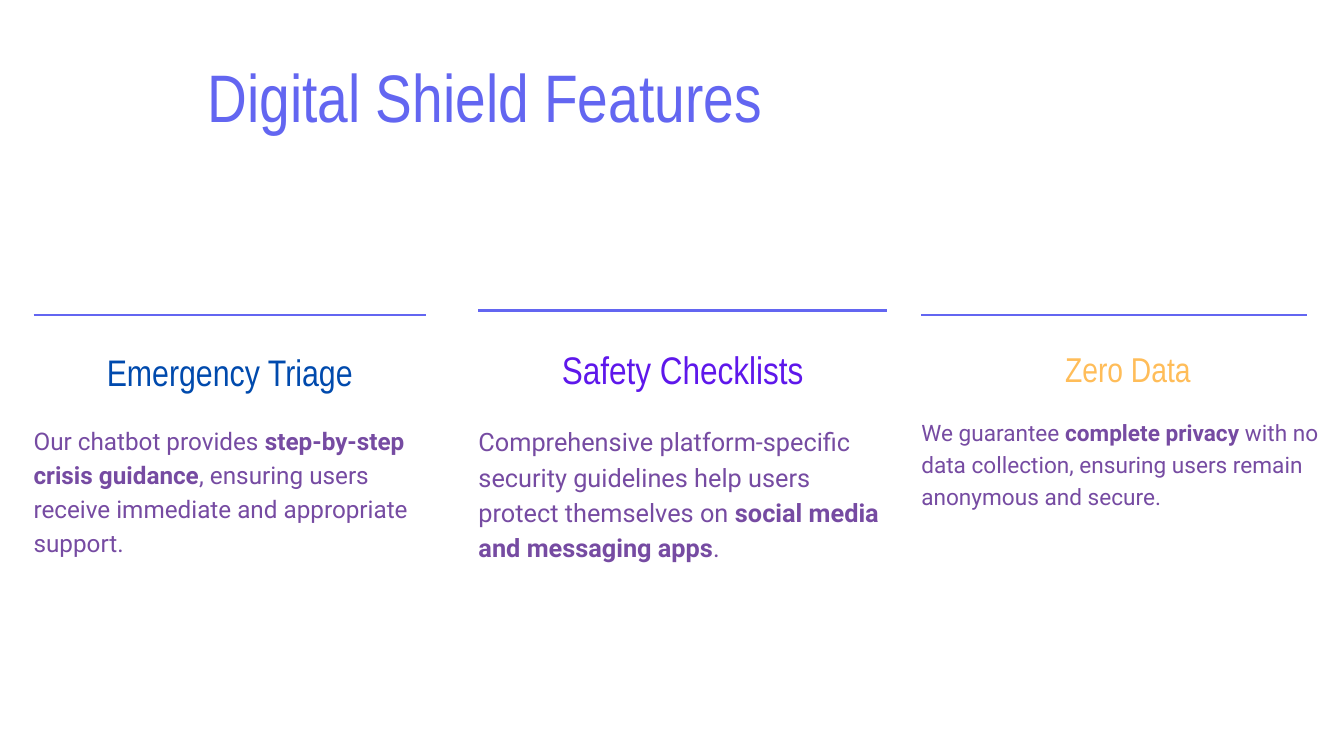
from lxml import etree
from pptx import Presentation
from pptx.dml.color import RGBColor
from pptx.enum.shapes import MSO_CONNECTOR
from pptx.enum.text import MSO_AUTO_SIZE, PP_ALIGN
from pptx.oxml.ns import qn
from pptx.util import Inches, Pt

LEFT, CENTER = PP_ALIGN.LEFT, PP_ALIGN.CENTER
STRAIGHT = MSO_CONNECTOR.STRAIGHT
GROW = MSO_AUTO_SIZE.SHAPE_TO_FIT_TEXT

INDIGO = RGBColor(0x63, 0x66, 0xF1)
PURPLE = RGBColor(0x76, 0x4B, 0xA2)
BLUE = RGBColor(0x00, 0x4A, 0xAD)
VIOLET = RGBColor(0x5E, 0x17, 0xEB)
AMBER = RGBColor(0xFF, 0xBD, 0x59)
WHITE = RGBColor(0xFF, 0xFF, 0xFF)

HEADING_FONT, BODY_FONT = "Arial Narrow", "Roboto"

# Content: body text is a list of (words, bold) spans
TITLE = "Digital Shield Features"
FEATURES = [
    {
        "heading": "Emergency Triage", "color": BLUE,
        "body": [("Our chatbot provides ", False),
                 ("step-by-step crisis guidance", True),
                 (", ensuring users receive immediate and appropriate support.", False)],
        "left": 0.5, "width": 5.84, "rule": (4.69, 5.84, 2.47),
        "heading_at": (5.29, 0.62), "heading_size": 39.6, "heading_spacing": 41.6,
        "body_at": (6.27, 1.99), "body_size": 26, "body_spacing": 36.4,
    },
    {
        "heading": "Safety Checklists", "color": VIOLET,
        "body": [("Comprehensive platform-specific security guidelines help users "
                  "protect themselves on ", False),
                 ("social media and messaging apps", True),
                 (".", False)],
        "left": 7.12, "width": 6.08, "rule": (4.62, 6.08, 2.58),
        "heading_at": (5.24, 0.64), "heading_size": 41.2, "heading_spacing": 43.3,
        "body_at": (6.27, 2.06), "body_size": 27.1, "body_spacing": 37.9,
    },
    {
        "heading": "Zero Data", "color": AMBER,
        "body": [("We guarantee ", False),
                 ("complete privacy", True),
                 (" with no data collection, ensuring users remain anonymous and secure.",
                  False)],
        "left": 13.71, "width": 6.15, "rule": (4.69, 5.74, 2.31),
        "heading_at": (5.25, 0.57), "heading_size": 36.9, "heading_spacing": 38.7,
        "body_at": (6.17, 1.37), "body_size": 24.2, "body_spacing": 33.9,
    },
]


def add_text(shapes, place, spans, font, size, spacing, color, align=LEFT):
    box = shapes.add_textbox(*(Inches(value) for value in place))
    frame_format = {"word_wrap": True, "auto_size": GROW, "margin_left": 0,
                    "margin_right": 0, "margin_top": 0, "margin_bottom": 0}
    for name, value in frame_format.items():
        setattr(box.text_frame, name, value)
    para = box.text_frame.paragraphs[0]
    para.alignment = align
    para.line_spacing = Pt(spacing)
    for words, bold in spans:
        span = para.add_run()
        span.text = words
        for name, value in {"name": font, "size": Pt(size), "bold": bold}.items():
            setattr(span.font, name, value)
        span.font.color.rgb = color


def add_rule(shapes, left, top, length, weight):
    rule = shapes.add_connector(STRAIGHT, Inches(left), Inches(top),
                                Inches(left + length), Inches(top))
    rule.line.color.rgb = INDIGO
    rule.line.width = Pt(weight)
    etree.SubElement(rule._element.spPr, qn("a:effectLst"))


def add_feature(page, feature):
    shapes = page.shapes.add_group_shape().shapes
    left, width = feature["left"], feature["width"]
    blocks = [
        ("body", feature["body"], BODY_FONT, PURPLE, LEFT),
        ("heading", [(feature["heading"], False)], HEADING_FONT, feature["color"], CENTER),
    ]
    for part, spans, font, color, align in blocks:
        top, height = feature[part + "_at"]
        add_text(shapes, (left, top, width, height), spans, font,
                 feature[part + "_size"], feature[part + "_spacing"], color, align)
    add_rule(shapes, left, *feature["rule"])


def main():
    deck = Presentation()
    deck.slide_width, deck.slide_height = Inches(20), Inches(11.25)
    page = deck.slides.add_slide(deck.slide_layouts[6])
    page.background.fill.solid()
    page.background.fill.fore_color.rgb = WHITE

    # Three feature columns, then the title
    for feature in FEATURES:
        add_feature(page, feature)
    add_text(page.shapes, (3.09, 0.93, 12.25, 1.13), [(TITLE, False)],
             HEADING_FONT, 72, 79.2, INDIGO)
    deck.save("out.pptx")


if __name__ == "__main__":
    main()
